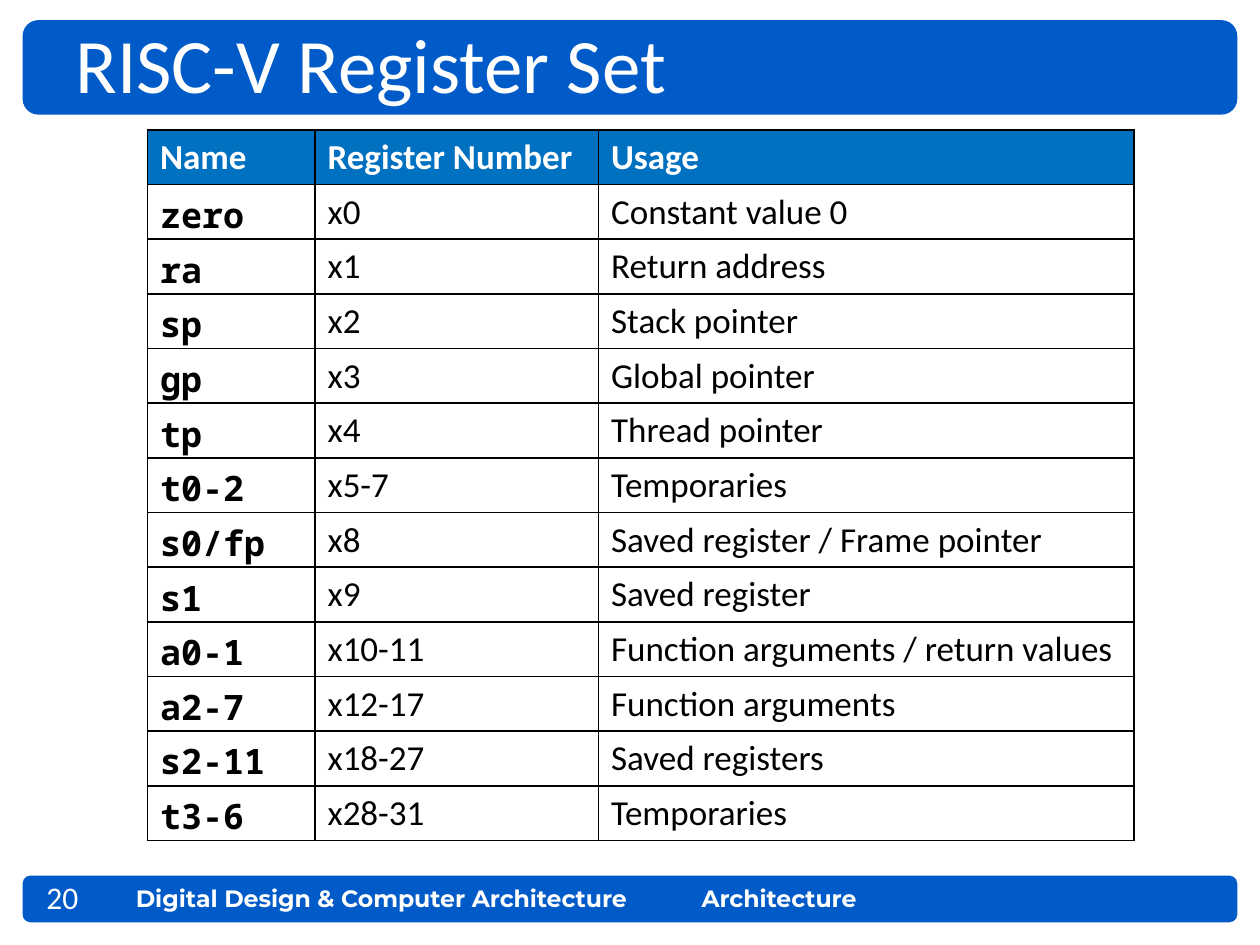
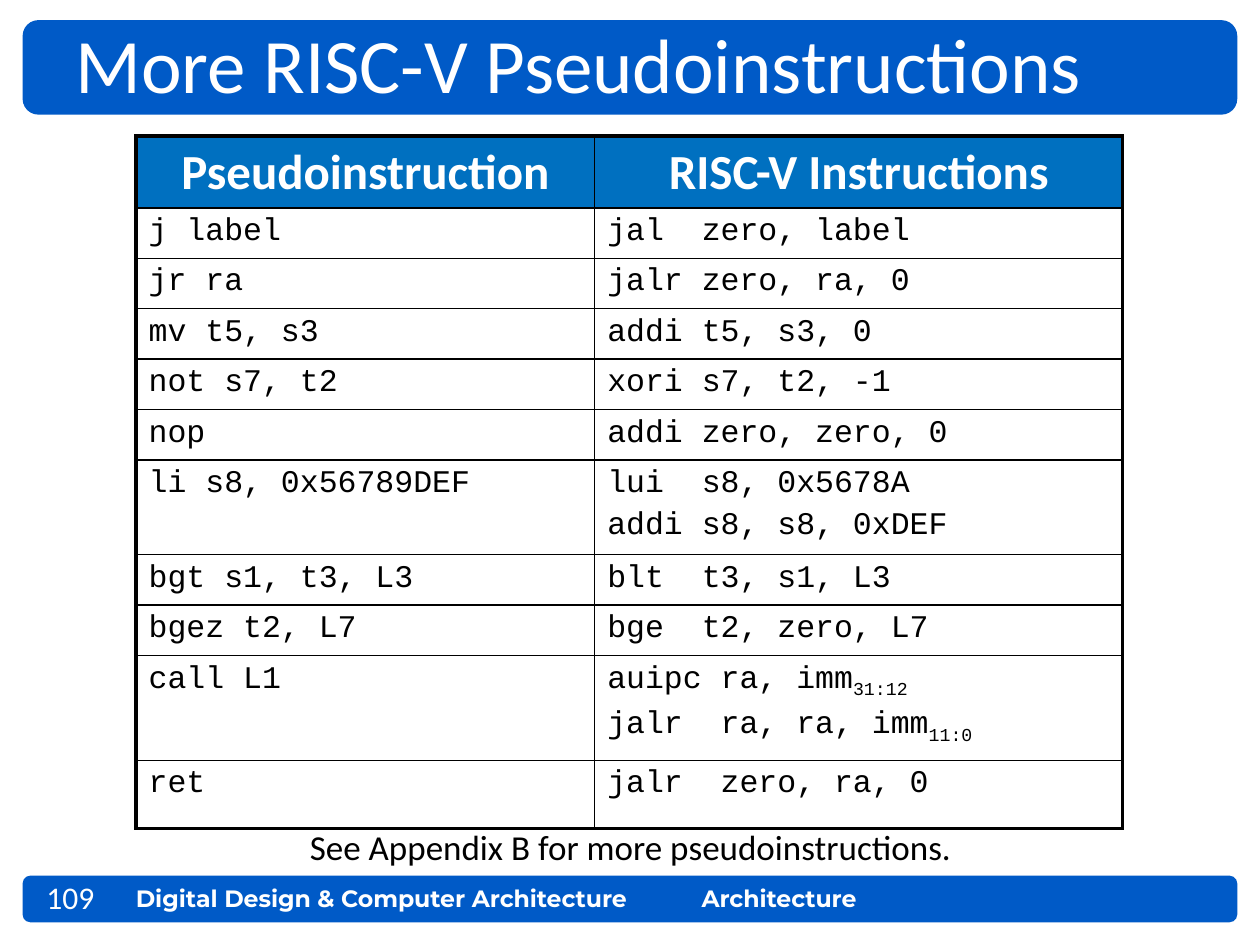
from lxml import etree
from pptx import Presentation
from pptx.dml.color import RGBColor
from pptx.enum.shapes import MSO_SHAPE
from pptx.enum.text import MSO_ANCHOR, PP_ALIGN
from pptx.oxml.ns import qn
from pptx.util import Inches, Pt

ROUNDED = MSO_SHAPE.ROUNDED_RECTANGLE
TOP, MIDDLE = MSO_ANCHOR.TOP, MSO_ANCHOR.MIDDLE
LEFT, CENTER = PP_ALIGN.LEFT, PP_ALIGN.CENTER

BAND_BLUE = RGBColor(0x00, 0x5A, 0xC7)
HEAD_BLUE = RGBColor(0x00, 0x70, 0xC0)
WHITE = RGBColor(0xFF, 0xFF, 0xFF)
BLACK = RGBColor(0x00, 0x00, 0x00)
SANS, MONO, CODE, FOOT = "Calibri", "Noto Sans Mono", "Courier New", "Montserrat"

# Grid of 100 columns by 75 rows; boxes are (left, top, width, height) in cells
WIDTH, HEIGHT = Inches(10), Inches(7.5)
COL, ROW = WIDTH / 100, HEIGHT / 75
TITLE_BAND = (1.8, 1.6, 96.4, 7.5)
FOOTER_BAND = (1.8, 69.5, 96.4, 3.7)
TITLE_BOX = (5, 0.8, 90.8, 8.4)
NUMBER_BOX = (2.7, 69.2, 8.2, 3.9)
COURSE_BOX = (9.8, 69.7, 44.4, 3.3)
CHAPTER_BOX = (54.7, 69.7, 29.4, 3.3)

REGISTERS = [
    ("Name", "Register Number", "Usage"),
    ("zero", "x0", "Constant value 0"),
    ("ra", "x1", "Return address"),
    ("sp", "x2", "Stack pointer"),
    ("gp", "x3", "Global pointer"),
    ("tp", "x4", "Thread pointer"),
    ("t0-2", "x5-7", "Temporaries"),
    ("s0/fp", "x8", "Saved register / Frame pointer"),
    ("s1", "x9", "Saved register"),
    ("a0-1", "x10-11", "Function arguments / return values"),
    ("a2-7", "x12-17", "Function arguments"),
    ("s2-11", "x18-27", "Saved registers"),
    ("t3-6", "x28-31", "Temporaries"),
]

# A newline starts a paragraph; text after "_" is a subscript
PSEUDO = [
    ("Pseudoinstruction", "RISC-V Instructions"),
    ("j label", "jal  zero, label"),
    ("jr ra", "jalr zero, ra, 0"),
    ("mv t5, s3", "addi t5, s3, 0"),
    ("not s7, t2", "xori s7, t2, -1"),
    ("nop", "addi zero, zero, 0"),
    ("li s8, 0x56789DEF", "lui  s8, 0x5678A\naddi s8, s8, 0xDEF"),
    ("bgt s1, t3, L3", "blt  t3, s1, L3"),
    ("bgez t2, L7", "bge  t2, zero, L7"),
    ("call L1", "auipc ra, imm_31:12\njalr  ra, ra, imm_11:0"),
    ("ret", "jalr  zero, ra, 0"),
]


def place(box):
    left, top, width, height = box
    return round(left * COL), round(top * ROW), round(width * COL), round(height * ROW)


def add_run(p, text, size, font, color, bold=False):
    r = p.add_run()
    r.text = text
    r.font.size, r.font.name, r.font.bold = Pt(size), font, bold
    r.font.color.rgb = color
    return r


def add_text(slide, box, text, size, font=SANS, color=WHITE, bold=False, align=LEFT):
    tf = slide.shapes.add_textbox(*place(box)).text_frame
    tf.word_wrap = True
    p = tf.paragraphs[0]
    p.alignment = align
    add_run(p, text, size, font, color, bold)
    return p


def add_band(slide, box):
    sp = slide.shapes.add_shape(ROUNDED, *place(box))
    sp.shadow.inherit = False
    sp.fill.solid()
    sp.fill.fore_color.rgb = BAND_BLUE
    sp.line.fill.background()


def add_frame(slide, title, number):
    """Title band and footer band with their text."""
    add_band(slide, FOOTER_BAND)
    add_band(slide, TITLE_BAND)
    add_text(slide, COURSE_BOX, "Digital Design & Computer Architecture", 13.5, FOOT, bold=True)
    add_text(slide, CHAPTER_BOX, "Architecture", 13.5, FOOT, bold=True)
    add_text(slide, TITLE_BOX, title, 44)
    add_text(slide, NUMBER_BOX, str(number), 18)


def set_borders(cell, widths):
    tc_pr = cell._tc.get_or_add_tcPr()
    for side, width in zip("LRTB", widths):
        ln = etree.SubElement(tc_pr, qn(f"a:ln{side}"), w=str(Pt(width)))
        fill = etree.SubElement(ln, qn("a:solidFill"))
        etree.SubElement(fill, qn("a:srgbClr"), val=str(BLACK))


def fill_cell(cell, text, size, font, color, bold, align):
    for i, line in enumerate(text.split("\n")):
        tf = cell.text_frame
        p = tf.add_paragraph() if i else tf.paragraphs[0]
        p.alignment = align
        if i:
            p.space_before = Pt(size * 0.2)
        base, _, sub = line.partition("_")
        add_run(p, base, size, font, color, bold)
        if sub:
            r = add_run(p, sub, size, font, color, bold)
            r.font._element.set("baseline", "-25000")


def add_grid(slide, corner, col_widths, row_heights, rows, head, styles, outer=1):
    """Table; head is (size, align, anchor), styles gives (size, font, bold) per column."""
    box = (*corner, sum(col_widths), sum(row_heights))
    table = slide.shapes.add_table(len(rows), len(col_widths), *place(box)).table
    table.first_row = table.horz_banding = False
    for column, width in zip(table.columns, col_widths):
        column.width = round(width * COL)
    for row, height in zip(table.rows, row_heights):
        row.height = round(height * ROW)
    last_row, last_col = len(rows) - 1, len(col_widths) - 1
    for i, texts in enumerate(rows):
        for j, text in enumerate(texts):
            cell = table.cell(i, j)
            edges = (j == 0, j == last_col, i == 0, i == last_row)
            set_borders(cell, [outer if edge else 1 for edge in edges])
            cell.fill.solid()
            cell.fill.fore_color.rgb = WHITE if i else HEAD_BLUE
            if i:
                size, font, bold = styles[j]
                fill_cell(cell, text, size, font, BLACK, bold, LEFT)
            else:
                size, align, cell.vertical_anchor = head
                fill_cell(cell, text, size, SANS, WHITE, True, align)
            if styles[j][1] == MONO:
                cell.margin_bottom = 0  # the tall mono line fits the even rows


def register_slide(slide):
    add_frame(slide, "RISC-V Register Set", 20)
    add_grid(slide, (11.7, 10.3), [13.3, 22.5, 42.5], [4.34] * len(REGISTERS), REGISTERS,
             head=(20, LEFT, TOP),
             styles=[(20, MONO, True), (20, SANS, False), (20, SANS, False)])


def pseudo_slide(slide):
    add_frame(slide, "More RISC-V Pseudoinstructions", 109)
    # Caption under the table
    p = add_text(slide, (10.9, 65.4, 78.3, 3.5), "See Appendix B for more pseudoinstructions.",
                 20, color=BLACK, align=CENTER)
    p.line_spacing = 0.9
    heights = [5.7] + [4] * 5 + [7.5] + [4] * 2 + [8.3, 5.4]
    add_grid(slide, (10.8, 10.8), [36.4, 41.9], heights, PSEUDO,
             head=(28, CENTER, MIDDLE), styles=[(18, CODE, False)] * 2, outer=2.25)


def main():
    prs = Presentation()
    prs.slide_width, prs.slide_height = WIDTH, HEIGHT
    for build in (register_slide, pseudo_slide):
        build(prs.slides.add_slide(prs.slide_layouts[6]))
    prs.save("out.pptx")


if __name__ == "__main__":
    main()
